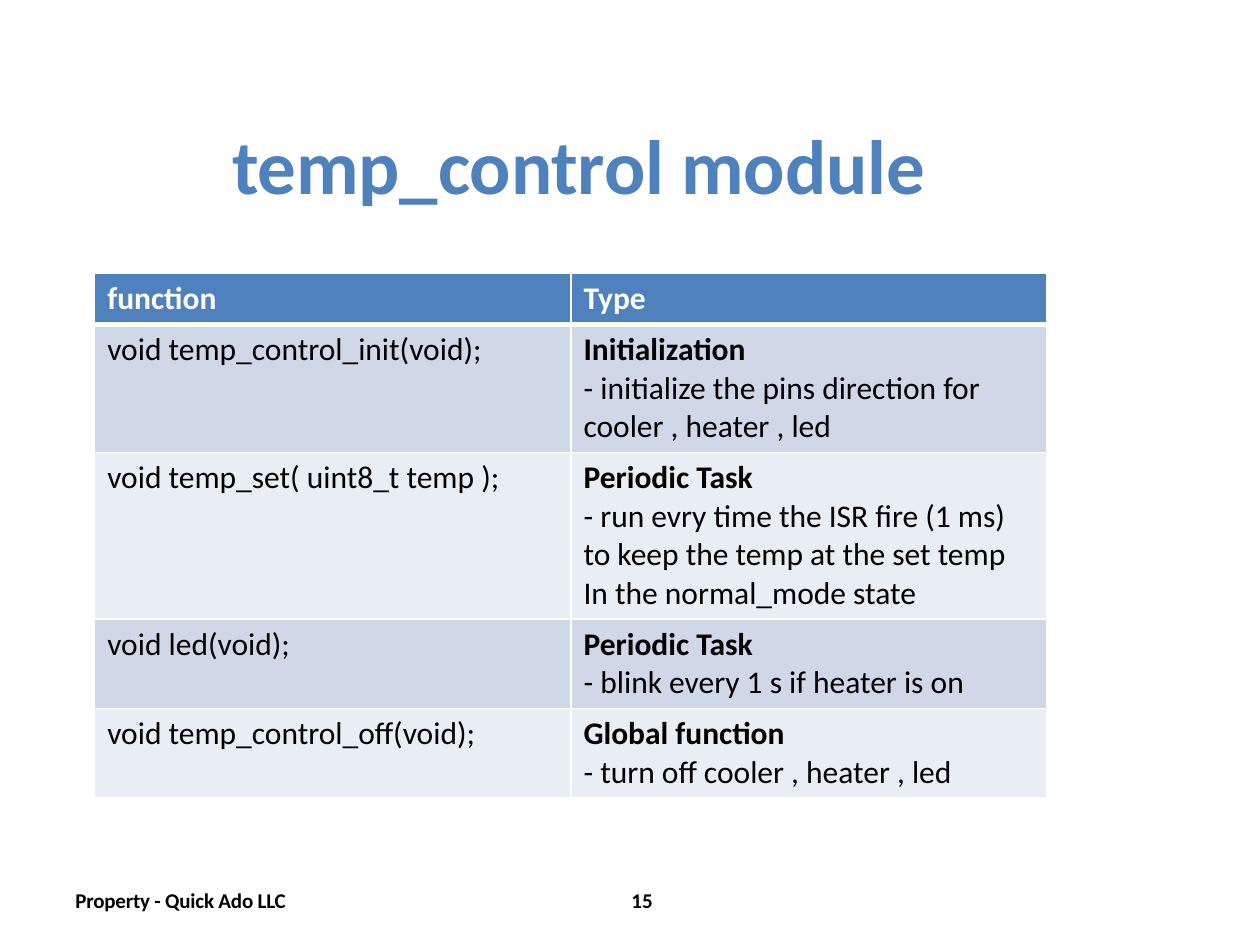
"""Build the temp_control module slide with its function table."""
from lxml.etree import SubElement
from pptx import Presentation
from pptx.dml.color import RGBColor
from pptx.enum.text import MSO_ANCHOR, MSO_AUTO_SIZE, PP_ALIGN
from pptx.oxml.ns import qn
from pptx.util import Cm, Pt

COLORS = {
    "title": "4F81BC",
    "header": "4F81BD",
    "odd": "D0D8E8",
    "even": "E9EDF4",
    "white": "FFFFFF",
    "black": "000000",
}

FUNCTIONS = [
    ("void temp_control_init(void);", "Initialization",
     ["- initialize the pins direction for cooler , heater , led"]),
    ("void temp_set( uint8_t temp );", "Periodic Task",
     ["- run evry time the ISR fire (1 ms) to keep the temp at the set temp",
      "In the normal_mode state"]),
    ("void led(void);", "Periodic Task",
     ["- blink every 1 s if heater is on"]),
    ("void temp_control_off(void);", "Global function",
     ["- turn off cooler , heater , led"]),
]


def add_span(para, text, size=18, color="black", bold=False, font="Calibri", spacing=0):
    span = para.add_run()
    span.text = text
    span.font.name = font
    span.font.size = Pt(size)
    span.font.bold = bold
    span.font.color.rgb = RGBColor.from_string(COLORS[color])
    if spacing:
        span.font._element.set("spc", str(round(spacing * 100)))


class SlideBuilder:
    def __init__(self, deck):
        self.page = deck.slides.add_slide(deck.slide_layouts[5])

    def place(self, shape, left, top, width, height):
        shape.left, shape.top = Cm(left), Cm(top)
        shape.width, shape.height = Cm(width), Cm(height)

    def prepare(self, frame, wrap=True):
        frame.margin_left = frame.margin_top = 0
        frame.margin_right = frame.margin_bottom = 0
        frame.word_wrap = wrap
        frame.auto_size = MSO_AUTO_SIZE.NONE
        frame.vertical_anchor = MSO_ANCHOR.TOP
        para = frame.paragraphs[0]
        para.alignment = PP_ALIGN.LEFT
        return para

    def title(self, text, *bounds):
        box = self.page.shapes.title
        self.place(box, *bounds)
        para = self.prepare(box.text_frame)
        para.space_before = Pt(1.1)
        add_span(para, text, size=44, color="title", bold=True, spacing=-0.1)

    def footer(self, text, left, width, spacing=0):
        box = self.page.shapes.add_textbox(Cm(left), Cm(17.96), Cm(width), Cm(0.48))
        para = self.prepare(box.text_frame, wrap=False)
        para.line_spacing = Pt(12.4)
        add_span(para, text, size=12, bold=True, spacing=spacing)

    def style_cell(self, cell, color, top=1, bottom=1):
        properties = cell._tc.get_or_add_tcPr()
        for side, width in (("L", 1), ("R", 1), ("T", top), ("B", bottom)):
            line = SubElement(properties, qn(f"a:ln{side}"), w=str(Pt(width)))
            fill = SubElement(line, qn("a:solidFill"))
            SubElement(fill, qn("a:srgbClr"), val=COLORS["white"])
        cell.fill.solid()
        cell.fill.fore_color.rgb = RGBColor.from_string(COLORS[color])
        return cell.text_frame

    def table(self, headings, entries, left, top, width, row_height):
        rows = len(entries) + 1
        table = self.page.shapes.add_table(
            rows, len(headings), Cm(left), Cm(top), Cm(width), Cm(row_height * rows)).table
        for cell, heading in zip(table.rows[0].cells, headings):
            frame = self.style_cell(cell, "header", bottom=3)
            add_span(frame.paragraphs[0], heading, color="white", bold=True)
        for index, (function, kind, details) in enumerate(entries, 1):
            shade = "odd" if index % 2 else "even"
            edge = 3 if index == 1 else 1
            left_frame, right_frame = (
                self.style_cell(cell, shade, top=edge) for cell in table.rows[index].cells)
            add_span(left_frame.paragraphs[0], function)
            para = right_frame.paragraphs[0]
            add_span(para, kind, bold=True)
            para.add_line_break()
            add_span(para, details[0])
            for detail in details[1:]:
                add_span(right_frame.add_paragraph(), detail)


deck = Presentation()
deck.slide_width, deck.slide_height = Cm(25.4), Cm(19.05)
builder = SlideBuilder(deck)
builder.title("temp_control module", 4.68, 2.36, 15.04, 1.93)
builder.table(["function", "Type"], FUNCTIONS, 1.91, 5.51, 19.2, 1.03)
builder.footer("Property - Quick Ado LLC", 1.52, 4.6, spacing=-0.1)
builder.footer("15", 12.73, 0.6)
deck.save("out.pptx")
